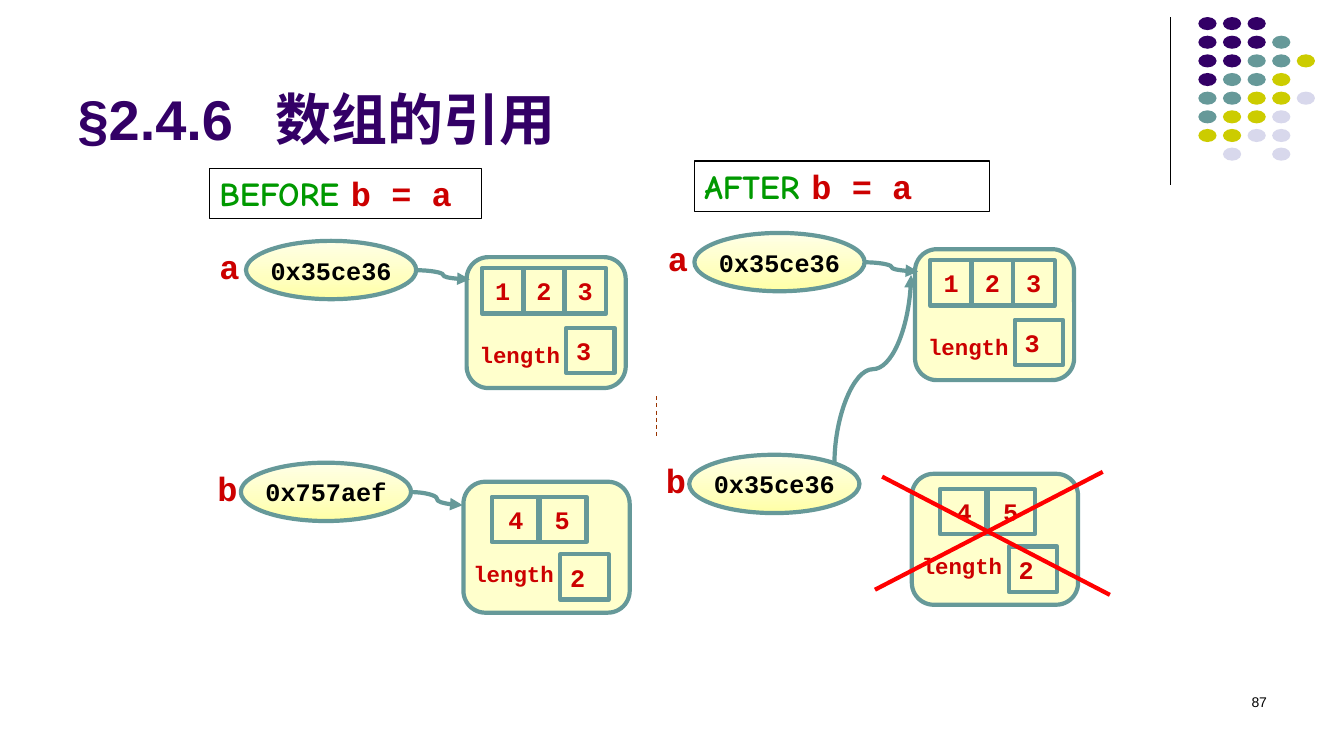
from copy import deepcopy
from dataclasses import dataclass

from lxml import etree
from pptx import Presentation
from pptx.dml.color import RGBColor
from pptx.enum.dml import MSO_LINE
from pptx.enum.shapes import MSO_CONNECTOR, MSO_SHAPE
from pptx.enum.text import MSO_ANCHOR, MSO_AUTO_SIZE, PP_ALIGN
from pptx.oxml.ns import qn
from pptx.util import Cm, Pt

STRAIGHT, CURVE = MSO_CONNECTOR.STRAIGHT, MSO_CONNECTOR.CURVE
OVAL, RECT, ROUNDED = MSO_SHAPE.OVAL, MSO_SHAPE.RECTANGLE, MSO_SHAPE.ROUNDED_RECTANGLE
LEFT, CENTER, RIGHT = PP_ALIGN.LEFT, PP_ALIGN.CENTER, PP_ALIGN.RIGHT
TOP, MIDDLE, BOTTOM = MSO_ANCHOR.TOP, MSO_ANCHOR.MIDDLE, MSO_ANCHOR.BOTTOM
NO_AUTOFIT = MSO_AUTO_SIZE.NONE
DASH = MSO_LINE.DASH


@dataclass(frozen=True)
class Theme:
    purple: str = "330066"
    teal: str = "669999"
    olive: str = "CCCC00"
    lilac: str = "D8D8EC"
    cream: str = "FFFFCC"
    black: str = "000000"
    code_red: str = "CC0000"
    green: str = "009900"
    cross_red: str = "FF0000"
    brown: str = "993300"
    glow: tuple = ((0, "FFFFA5"), (0.35, "FFFFBF"), (1, "FFFFE7"))
    sans: str = "Arial"
    chinese: str = "Noto Sans CJK SC"
    comic: str = "Comic Neue"
    code: str = "Courier New"
    title_size: int = 40
    heading_size: int = 24
    value_size: int = 18
    field_size: int = 16
    number_size: int = 10
    outline: float = 3
    frame: float = 1
    hairline: float = 0.75


class ReferenceSlide:
    def __init__(self, slide, theme):
        self.slide, self.theme = slide, theme

    def add_runs(self, frame, runs, size, align=LEFT, anchor=TOP, wrap=True, bold=True):
        """Each run is (text, font name, colour)."""
        frame.word_wrap, frame.vertical_anchor = wrap, anchor
        paragraph = frame.paragraphs[0]
        paragraph.alignment = align
        for words, font_name, color in runs:
            run = paragraph.add_run()
            run.text = words
            run.font.size, run.font.bold = Pt(size), bold
            run.font.color.rgb = RGBColor.from_string(color)
            run.font.name = font_name
            etree.SubElement(run.font._element, qn("a:ea"), typeface=font_name)
        return paragraph

    def title(self, number, name, x, y, w, h, name_indent):
        t, title = self.theme, self.slide.shapes.title
        title.left, title.top, title.width, title.height = map(Cm, (x, y, w, h))
        title.text_frame.auto_size = NO_AUTOFIT
        runs = [(number + "\t", t.sans, t.purple), (name, t.chinese, t.purple)]
        paragraph = self.add_runs(title.text_frame, runs, t.title_size, anchor=BOTTOM)
        stops = etree.SubElement(paragraph._p.get_or_add_pPr(), qn("a:tabLst"))
        etree.SubElement(stops, qn("a:tab"), pos=str(Cm(name_indent)), algn="l")

    def text(self, runs, x, y, w, h, size, **style):
        box = self.slide.shapes.add_textbox(Cm(x), Cm(y), Cm(w), Cm(h))
        self.add_runs(box.text_frame, runs, size, **style)

    def shape(self, kind, x, y, w, h, fill=None, line=None, width=0):
        shape = self.slide.shapes.add_shape(kind, Cm(x), Cm(y), Cm(w), Cm(h))
        shape.shadow.inherit = False
        if fill:
            shape.fill.solid()
            shape.fill.fore_color.rgb = RGBColor.from_string(fill)
        else:
            shape.fill.background()
        if line:
            shape.line.color.rgb = RGBColor.from_string(line)
            shape.line.width = Pt(width)
        else:
            shape.line.fill.background()
        return shape

    def line(self, start, end, color, width, kind=STRAIGHT, dash=None):
        line = self.slide.shapes.add_connector(kind, *map(Cm, start + end))
        line.line.color.rgb = RGBColor.from_string(color)
        line.line.width = Pt(width)
        if dash:
            line.line.dash_style = dash
        etree.SubElement(line._element.spPr, qn("a:effectLst"))
        return line

    def arrow(self, start, end, upright=False):
        if upright:  # laid on its side, then turned a quarter about its centre
            cx, cy = (start[0] + end[0]) / 2, (start[1] + end[1]) / 2
            dx, dy = (end[0] - start[0]) / 2, (end[1] - start[1]) / 2
            start, end = (cx - dy, cy + dx), (cx + dy, cy - dx)
        arrow = self.line(start, end, self.theme.teal, self.theme.outline, CURVE)
        properties = arrow._element.spPr
        if upright:
            properties.find(qn("a:xfrm")).set("rot", str(90 * 60000))
        etree.SubElement(properties.find(qn("a:ln")), qn("a:tailEnd"), type="triangle")

    def heading(self, moment, x, y, w):
        t = self.theme
        frame = self.shape(RECT, x, y, w, 1.27, line=t.black, width=t.frame).text_frame
        self.add_runs(frame, [(moment + " ", t.comic, t.green), ("b = a", t.code, t.code_red)],
                      t.heading_size)

    def variable(self, name, address, label_x, oval_x, y):
        t = self.theme
        self.text([(name, t.code, t.code_red)], label_x, y, 1.02, 1.27, t.heading_size)
        oval = self.shape(OVAL, oval_x, y, 4.29, 1.47, line=t.teal, width=t.outline)
        oval.fill.gradient()
        oval.fill.gradient_angle = 90
        stop_list = oval._element.spPr.find(qn("a:gradFill")).find(qn("a:gsLst"))
        stop_list.append(deepcopy(stop_list[-1]))
        for stop, (position, color) in zip(oval.fill.gradient_stops, t.glow):
            stop.position, stop.color.rgb = position, RGBColor.from_string(color)
        self.add_runs(oval.text_frame, [(address, t.code, t.black)], t.value_size,
                      CENTER, MIDDLE, wrap=False)

    def cell(self, value, x, y, w, align=CENTER):
        t = self.theme
        cell = self.shape(RECT, x, y, w, 1.14, line=t.teal, width=t.outline)
        self.add_runs(cell.text_frame, [(value, t.code, t.code_red)], t.value_size,
                      align, MIDDLE, wrap=False)

    def array(self, values, x, y, w, first, pitch, cell_w, field, count):
        """first, field and count are offsets from the object's corner."""
        t = self.theme
        self.shape(ROUNDED, x, y, w, 3.3, t.cream, t.teal, t.outline)
        for i, value in enumerate(values):
            self.cell(value, x + first[0] + i * pitch, y + first[1], cell_w)
        self.text([("length", t.code, t.code_red)], x + field[0], y + field[1],
                  2.57, 0.94, t.field_size, wrap=False)
        self.cell(str(len(values)), x + count[0], y + count[1], 1.22, LEFT)

    def dots(self, rows, x, y, pitch_x, pitch_y):
        t = self.theme
        colors = {"P": t.purple, "T": t.teal, "O": t.olive, "L": t.lilac}
        for r, row in enumerate(rows):
            for c, key in enumerate(row):
                if key in colors:
                    self.shape(OVAL, x + c * pitch_x, y + r * pitch_y, 0.46, 0.33, colors[key])


def main():
    theme = Theme()
    deck = Presentation()
    deck.slide_width, deck.slide_height = Cm(33.87), Cm(19.05)
    page = ReferenceSlide(deck.slides.add_slide(deck.slide_layouts[5]), theme)

    # Corner decoration, title and page number
    page.line((29.49, 0.43), (29.49, 4.65), theme.black, theme.hairline)
    page.dots(["PPP", "PPPT", "PPTTO", "PTTO", "TTOOL", "TOOL", "OOLL", ".L.L"],
              30.2, 0.43, 0.62, 0.47)
    page.title("§2.4.6", "数组的引用", 1.7, 0.33, 27.94, 3.61, name_indent=5)
    page.text([("87", theme.sans, theme.black)], 24.28, 17.35, 7.9, 1.27,
              theme.number_size, align=RIGHT, bold=False)

    # Headings and the divider between the two states
    page.heading("BEFORE", 5.28, 4.24, 6.86)
    page.heading("AFTER", 17.5, 4.06, 7.44)
    page.line((16.54, 9.98), (16.54, 11), theme.brown, theme.hairline, dash=DASH)

    # Variables and arrays; the second state is the first one shifted
    for dx, dy, b_address in ((0, 0, "0x757aef"), (11.3, -0.2, "0x35ce36")):
        page.array("45", 11.68 + dx, 12.14 + dy, 4.19, first=(0.71, 0.38), pitch=1.17,
                   cell_w=1.22, field=(0, 1.85), count=(2.44, 1.83))
        page.array("123", 11.76 + dx, 6.48 + dy, 4.01, first=(0.38, 0.28), pitch=1.04,
                   cell_w=1.06, field=(0.08, 1.98), count=(2.51, 1.78))
        page.variable("a", "0x35ce36", 5.28 + dx, 6.2 + dx, 6.07 + dy)
        page.variable("b", b_address, 5.23 + dx, 6.07 + dx, 11.66 + dy)
        page.arrow((10.49 + dx, 6.81 + dy), (11.84 + dx, 7.04 + dy))

    # Where b points before and after the assignment
    page.arrow((10.36, 12.4), (11.66, 12.73))
    page.arrow((21.03, 11.68), (22.96, 6.93), upright=True)

    # Cross over the array that is no longer referenced
    page.line((22.23, 12.01), (27.97, 14.99), theme.cross_red, theme.outline)
    page.line((27.79, 11.89), (22.05, 14.86), theme.cross_red, theme.outline)

    deck.save("out.pptx")


if __name__ == "__main__":
    main()
